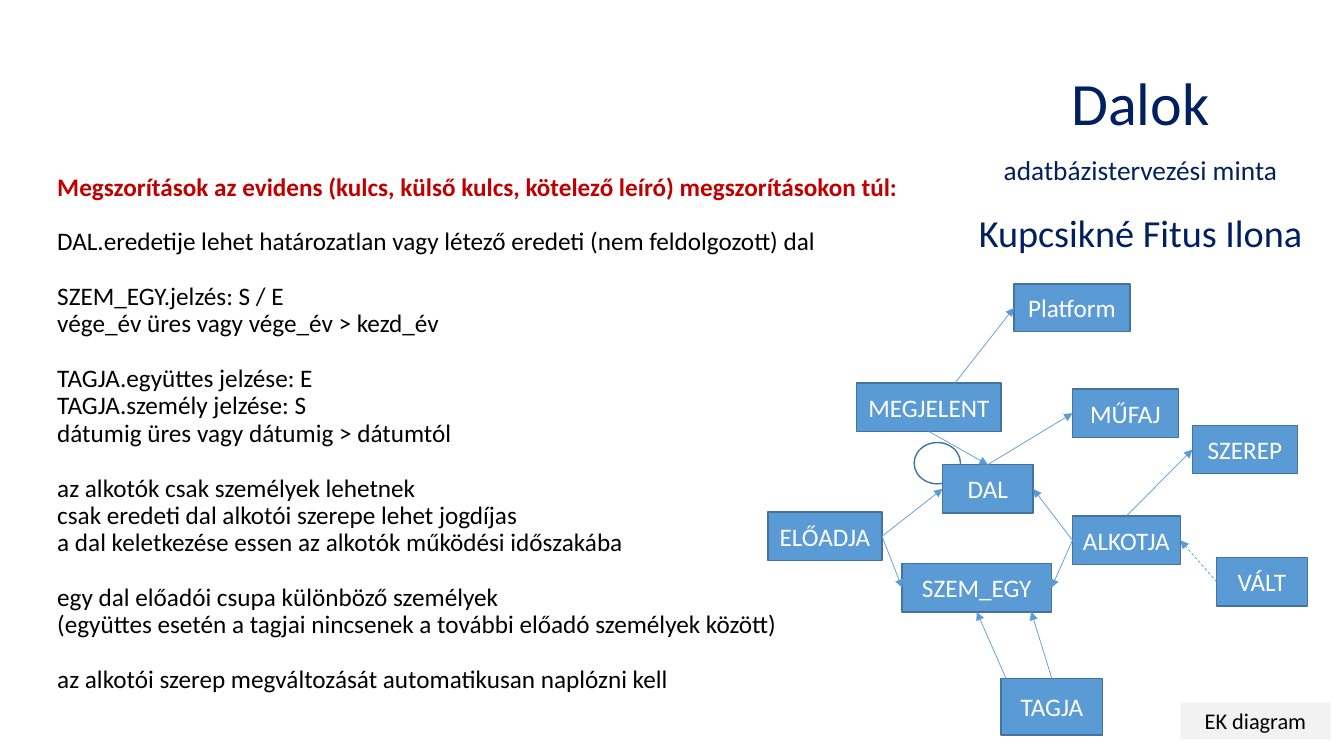
from pptx import Presentation
from pptx.dml.color import RGBColor
from pptx.enum.dml import MSO_LINE
from pptx.enum.shapes import MSO_CONNECTOR, MSO_SHAPE
from pptx.enum.text import MSO_ANCHOR, PP_ALIGN
from pptx.oxml.ns import qn
from pptx.util import Pt
from lxml import etree

RECT, OVAL = MSO_SHAPE.RECTANGLE, MSO_SHAPE.OVAL
STRAIGHT, DASH = MSO_CONNECTOR.STRAIGHT, MSO_LINE.DASH
MIDDLE, TOP, CENTER = MSO_ANCHOR.MIDDLE, MSO_ANCHOR.TOP, PP_ALIGN.CENTER
UP, LEFT, DOWN, RIGHT = range(4)

RED = RGBColor(0xC0, 0x00, 0x00)
NAVY = RGBColor(0x00, 0x20, 0x60)
BLUE = RGBColor(0x5B, 0x9B, 0xD5)
EDGE = RGBColor(0x43, 0x73, 0x9E)
GRAY = RGBColor(0xF2, 0xF2, 0xF2)
BLACK = RGBColor(0x00, 0x00, 0x00)
WHITE = RGBColor(0xFF, 0xFF, 0xFF)

deck = Presentation()
deck.slide_width, deck.slide_height = Pt(960), Pt(540)
slide = deck.slides.add_slide(deck.slide_layouts[6])
shapes = slide.shapes


def add_run(par, text, size, color, bold=False):
    run = par.add_run()
    run.text = text
    run.font.name = "Calibri"
    run.font.size = Pt(size)
    run.font.bold = bold
    run.font.color.rgb = color


def add_box(kind, x, y, w, h, fill=None, edge=None):
    box = shapes.add_shape(kind, Pt(x), Pt(y), Pt(w), Pt(h))
    box.shadow.inherit = False
    if fill:
        box.fill.solid()
        box.fill.fore_color.rgb = fill
    else:
        box.fill.background()
    if edge:
        box.line.color.rgb = edge
        box.line.width = Pt(1)
    else:
        box.line.fill.background()
    return box


# Constraint list: one group per topic, a line of space between groups
groups = [
    ["Megszorítások az evidens (kulcs, külső kulcs, kötelező leíró) megszorításokon túl:"],
    ["DAL.eredetije lehet határozatlan vagy létező eredeti (nem feldolgozott) dal"],
    ["SZEM_EGY.jelzés: S / E",
     "vége_év üres vagy vége_év > kezd_év"],
    ["TAGJA.együttes jelzése: E",
     "TAGJA.személy jelzése: S",
     "dátumig üres vagy dátumig > dátumtól"],
    ["az alkotók csak személyek lehetnek",
     "csak eredeti dal alkotói szerepe lehet jogdíjas",
     "a dal keletkezése essen az alkotók működési időszakába"],
    ["egy dal előadói csupa különböző személyek",
     "(együttes esetén a tagjai nincsenek a további előadó személyek között)"],
    ["az alkotói szerep megváltozását automatikusan naplózni kell"],
]
frame = shapes.add_textbox(Pt(33.8), Pt(110.2), Pt(882), Pt(399.6)).text_frame
frame.word_wrap = True
frame.vertical_anchor = MIDDLE
for g, group in enumerate(groups):
    for n, line in enumerate(group):
        first = g == 0
        par = frame.paragraphs[0] if first else frame.add_paragraph()
        par.line_spacing = 0.9
        if n == 0 and not first:
            par.space_before = Pt(19.7)
        add_run(par, line, 18, RED if first else BLACK, first)

# Heading
frame = shapes.add_textbox(Pt(684.7), Pt(17.3), Pt(260), Pt(179.3)).text_frame
frame.word_wrap = True
heads = [("Dalok", 42.9), ("adatbázistervezési minta", 19.5),
         ("Kupcsikné Fitus Ilona", 27.3)]
for n, (text, size) in enumerate(heads):
    par = frame.add_paragraph() if n else frame.paragraphs[0]
    par.alignment = CENTER
    par.line_spacing = 1.5
    add_run(par, text, size, NAVY)

# Diagram label
label = add_box(RECT, 843.1, 501.8, 107.3, 26.6, GRAY)
label.text_frame.vertical_anchor = TOP
par = label.text_frame.paragraphs[0]
par.alignment = CENTER
add_run(par, "EK diagram", 16, BLACK)

# Self-reference loop behind DAL
add_box(OVAL, 653, 316.1, 33.1, 29.5, edge=EDGE)

# Entities: name, left, top, width, height
nodes = {}
for name, x, y, w, h in [
    ("DAL", 673.2, 331.9, 64.8, 34.6),
    ("SZEREP", 851.8, 303.8, 74.9, 34.6),
    ("SZEM_EGY", 644.4, 402.5, 106.6, 34.6),
    ("ALKOTJA", 766.1, 368.6, 77, 34.6),
    ("ELŐADJA", 548.6, 365.8, 81.4, 34.6),
    ("TAGJA", 715, 484.6, 72.7, 40.3),
    ("MEGJELENT", 612, 273.6, 103, 34.6),
    ("VÁLT", 869, 398.2, 64.8, 34.6),
    ("MŰFAJ", 766.1, 277.9, 75.6, 34.6),
    ("Platform", 724.3, 203, 82.8, 33.8),
]:
    node = nodes[name] = add_box(RECT, x, y, w, h, BLUE, EDGE)
    node.text_frame.word_wrap = False
    node.text_frame.vertical_anchor = MIDDLE
    par = node.text_frame.paragraphs[0]
    par.alignment = CENTER
    add_run(par, name, 18, WHITE)

# Links: each end is a side of an entity, or a free point
for start, end in [
    (("ELŐADJA", RIGHT), ("DAL", LEFT)),
    (("ELŐADJA", RIGHT), ("SZEM_EGY", LEFT)),
    (("ALKOTJA", LEFT), ("DAL", RIGHT)),
    (("ALKOTJA", LEFT), ("SZEM_EGY", RIGHT)),
    (("MEGJELENT", DOWN), ("DAL", UP)),
    (("ALKOTJA", UP), ("SZEREP", LEFT)),
    (("VÁLT", LEFT), ("ALKOTJA", RIGHT)),
    (("DAL", UP), ("MŰFAJ", LEFT)),
    (("TAGJA", UP), (736.6, 437)),
    ((718.6, 484.6), ("SZEM_EGY", DOWN)),
    ((681.8, 274), ("Platform", LEFT)),
]:
    x1, y1 = (0, 0) if start[0] in nodes else start
    x2, y2 = (0, 0) if end[0] in nodes else end
    link = shapes.add_connector(STRAIGHT, Pt(x1), Pt(y1), Pt(x2), Pt(y2))
    if start[0] in nodes:
        link.begin_connect(nodes[start[0]], start[1])
    if end[0] in nodes:
        link.end_connect(nodes[end[0]], end[1])
    link.line.color.rgb = BLUE
    link.line.width = Pt(0.5)
    if start[0] == "VÁLT":
        link.line.dash_style = DASH
    props = link.line._get_or_add_ln()
    etree.SubElement(props, qn("a:tailEnd"), type="triangle")
    etree.SubElement(props.getparent(), qn("a:effectLst"))

deck.save("out.pptx")
